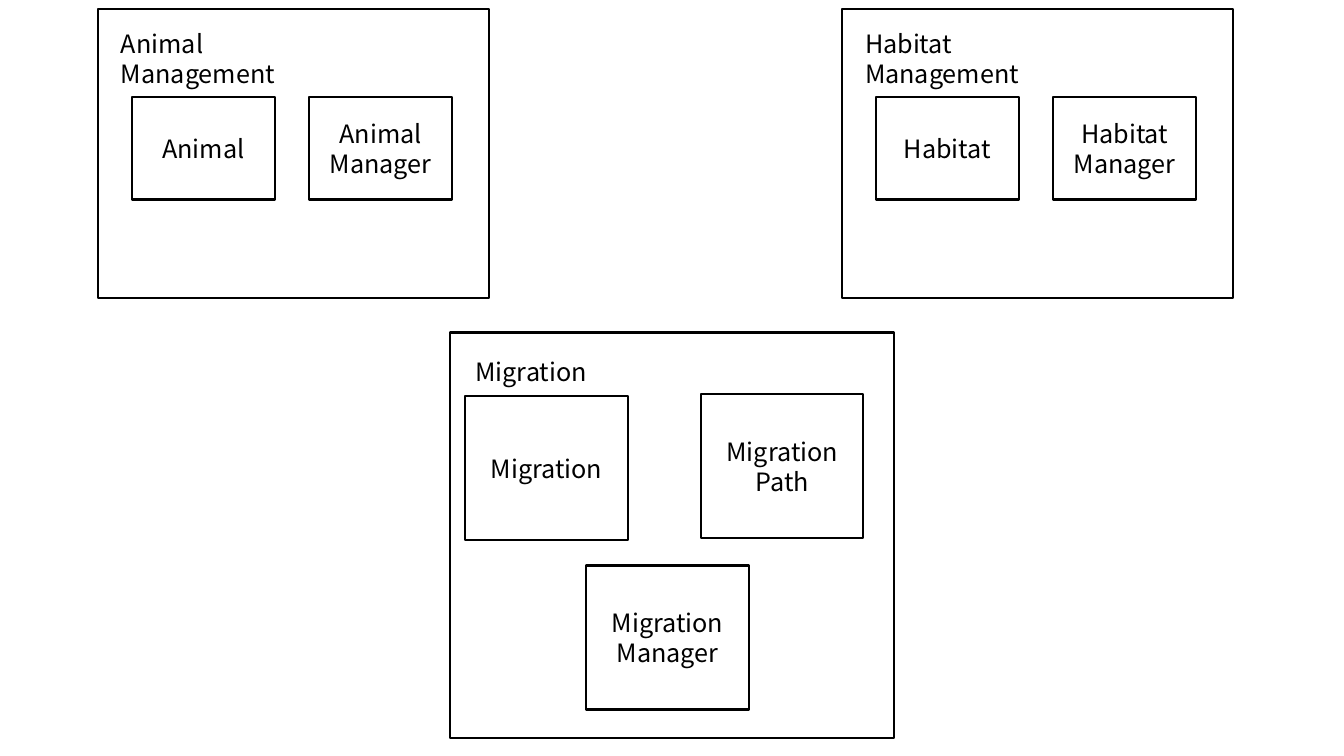
from pptx import Presentation
from pptx.dml.color import RGBColor
from pptx.enum.shapes import MSO_SHAPE
from pptx.enum.text import MSO_ANCHOR, MSO_AUTO_SIZE, PP_ALIGN
from pptx.util import Cm, Pt

INK = {"line": "000000", "text": "000000"}
FONT = "Noto Sans CJK KR"
PAIR = [(0.86, 2.21), (5.33, 2.21)]
TRIO = [(0.38, 1.6), (6.32, 1.55), (3.43, 5.87)]


def write(shape, text, align):
    """Put one run of text into a shape."""
    para = shape.text_frame.paragraphs[0]
    para.alignment = align
    run = para.add_run()
    run.text = text
    run.font.name = FONT
    run.font.size = Pt(18)
    run.font.color.rgb = RGBColor.from_string(INK["text"])


def frame(group, left, top, width, height):
    """Draw an unfilled outlined rectangle."""
    rect = group.shapes.add_shape(
        MSO_SHAPE.RECTANGLE, Cm(left), Cm(top), Cm(width), Cm(height))
    rect.shadow.inherit = False
    rect.fill.background()
    rect.line.color.rgb = RGBColor.from_string(INK["line"])
    rect.line.width = Pt(1.5)
    return rect


def title(group, left, top, width, text):
    """Place the name of a module."""
    label = group.shapes.add_textbox(Cm(left), Cm(top), Cm(width), Cm(1.02))
    label.text_frame.word_wrap = True
    label.text_frame.auto_size = MSO_AUTO_SIZE.SHAPE_TO_FIT_TEXT
    write(label, text, PP_ALIGN.LEFT)


def module(slide, box, head, names, spots, size):
    """Draw a module with its title and class boxes inside a given box."""
    left, top = box[:2]
    group = slide.shapes.add_group_shape()
    frame(group, *box)
    text, over, down, width = head
    title(group, left + over, top + down, width, text)
    for name, (over, down) in zip(names, spots):
        card = frame(group, left + over, top + down, *size)
        card.text_frame.word_wrap = True
        card.text_frame.vertical_anchor = MSO_ANCHOR.MIDDLE
        write(card, name, PP_ALIGN.CENTER)


def main():
    """Build and save the slide."""
    deck = Presentation()
    deck.slide_width, deck.slide_height = Cm(33.87), Cm(19.05)
    slide = deck.slides.add_slide(deck.slide_layouts[6])
    for name, left in (("Animal", 2.46), ("Habitat", 21.21)):
        module(slide, (left, 0.23, 9.86, 7.29),
               (f"{name} Management", 0.34, 0.36, 6.5),
               [name, f"{name} Manager"], PAIR, (3.61, 2.59))
    module(slide, (11.35, 8.38, 11.18, 10.21), ("Migration", 0.38, 0.48, 3.4),
           ["Migration", "Migration Path", "Migration Manager"],
           TRIO, (4.09, 3.63))
    deck.save("out.pptx")


if __name__ == "__main__":
    main()
